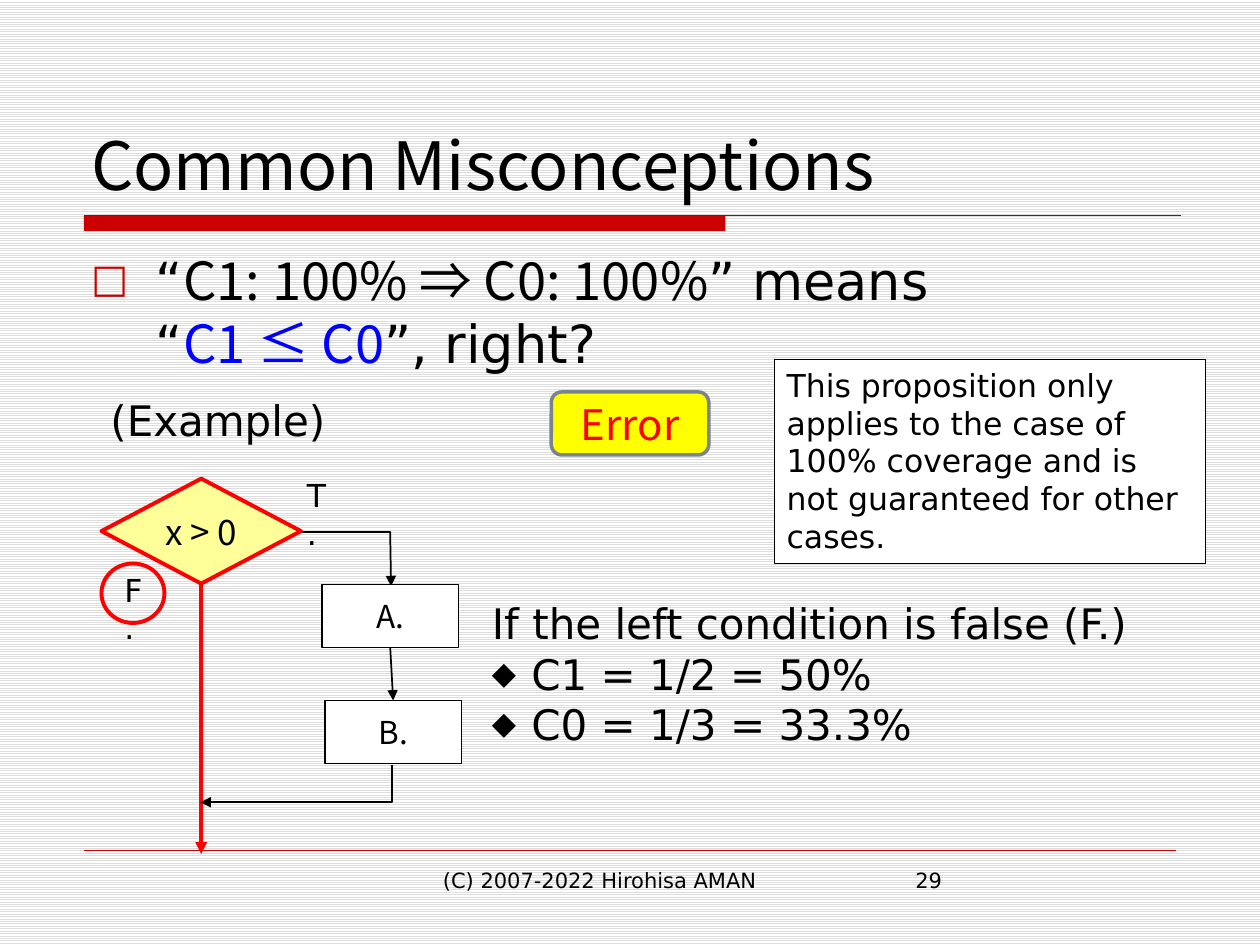
import lxml.etree
import pptx
import pptx.dml.color
import pptx.enum.dml
import pptx.enum.shapes
import pptx.enum.text
import pptx.oxml.ns
import pptx.util

Pt = pptx.util.Pt
SHAPES = pptx.enum.shapes.MSO_SHAPE
ANCHORS = pptx.enum.text.MSO_ANCHOR
ALIGNMENTS = pptx.enum.text.PP_ALIGN
SANS = "DejaVu Sans"
GOTHIC = "Noto Sans CJK JP"
CENTERED = {"alignment": ALIGNMENTS.CENTER}


def color(value):
    """Turn a hex string into a colour."""
    return pptx.dml.color.RGBColor.from_string(value)


def add_element(parent, tag, **attributes):
    """Append a DrawingML element to a parent."""
    element = lxml.etree.SubElement(parent, pptx.oxml.ns.qn("a:" + tag))
    for name, value in attributes.items():
        element.set(name, value)
    return element


def set_attributes(target, values):
    """Set each value of a dict on the target."""
    for name, value in values.items():
        setattr(target, name, value)


def style_line(line, line_color, width, arrow=False):
    """Give a line its colour, width and optional end arrow."""
    line.color.rgb = color(line_color)
    line.width = Pt(width)
    if arrow:
        add_element(line._get_or_add_ln(), "tailEnd", type="triangle")


def add_run(paragraph, text, size, font=SANS, text_color="000000"):
    """Add one formatted run to a paragraph."""
    run = paragraph.add_run()
    run.text = text
    set_attributes(run.font, {"size": Pt(size), "name": font})
    run.font.color.rgb = color(text_color)
    add_element(run._r.get_or_add_rPr(), "ea", typeface=font)


def add_bullet(paragraph, character, indent, bullet_color):
    """Give a paragraph a hanging bullet."""
    properties = paragraph._p.get_or_add_pPr()
    properties.set("marL", str(int(Pt(indent))))
    properties.set("indent", str(-int(Pt(indent))))
    add_element(add_element(properties, "buClr"), "srgbClr", val=bullet_color)
    add_element(properties, "buSzPct", val="75000")
    add_element(properties, "buFont", typeface=SANS)
    add_element(properties, "buChar", char=character)


def add_text_box(slide, box, text="", size=12, font=SANS, anchor=ANCHORS.TOP):
    """Add a wrapping text box and return its text frame."""
    frame = slide.shapes.add_textbox(*map(Pt, box)).text_frame
    set_attributes(frame, {"word_wrap": True, "vertical_anchor": anchor})
    if text:
        add_run(frame.paragraphs[0], text, size, font)
    return frame


def add_block(slide, kind, box, fill=None, line=None):
    """Add a preset shape with optional fill and (colour, width) line."""
    shape = slide.shapes.add_shape(kind, *map(Pt, box))
    shape.shadow.inherit = False
    if fill:
        shape.fill.solid()
        shape.fill.fore_color.rgb = color(fill)
    else:
        shape.fill.background()
    if line:
        style_line(shape.line, *line)
    else:
        shape.line.fill.background()
    return shape


def label(shape, text, size, font=GOTHIC, text_color="000000", wrap=False,
          anchor=ANCHORS.MIDDLE, paragraph_format=CENTERED):
    """Write text inside a shape."""
    frame = shape.text_frame
    set_attributes(frame, {"word_wrap": wrap, "vertical_anchor": anchor})
    set_attributes(frame.paragraphs[0], paragraph_format)
    add_run(frame.paragraphs[0], text, size, font, text_color)


def add_line(slide, start, end, line_color, width, arrow=False):
    """Add a straight connector."""
    straight = pptx.enum.shapes.MSO_CONNECTOR.STRAIGHT
    connector = slide.shapes.add_connector(straight, *map(Pt, start + end))
    style_line(connector.line, line_color, width, arrow)
    add_element(connector._element.spPr, "effectLst")
    return connector


def add_elbow(slide, start, *points):
    """Add an open bent path that ends in an arrow."""
    builder = slide.shapes.build_freeform(*map(Pt, start))
    builder.add_line_segments([tuple(map(Pt, point)) for point in points], close=False)
    shape = builder.convert_to_shape()
    shape.shadow.inherit = False
    shape.fill.background()
    style_line(shape.line, "000000", 1, arrow=True)


def add_frame(slide):
    """Add the background, rules, title and footer."""
    fill = slide.background.fill
    fill.patterned()
    fill.pattern = pptx.enum.dml.MSO_PATTERN.LIGHT_HORIZONTAL
    fill.fore_color.rgb = color("DDDDDD")
    fill.back_color.rgb = color("FFFFFF")
    add_block(slide, SHAPES.RECTANGLE, (48, 123, 366.5, 9), "CC0000")
    add_line(slide, (48, 123), (674.6, 123), "333333", 0.75)
    add_line(slide, (48, 486), (672, 486), "CC0000", 0.25)
    add_text_box(slide, (45, 24, 630, 96), "Common Misconceptions", 38, GOTHIC, ANCHORS.BOTTOM)
    add_text_box(slide, (246, 492, 228, 37.5), "(C) 2007-2022 Hirohisa AMAN")
    add_text_box(slide, (516, 492, 156, 37.5), "29")


def add_question(slide):
    """Add the main question with its verdict and explanation."""
    question = add_text_box(slide, (45, 138, 630, 336)).paragraphs[0]
    question.space_before = Pt(6)
    add_bullet(question, "□", 37, "CC0000")
    add_run(question, "“", 30)
    add_run(question, "C1: 100% ⇒ C0: 100%", 30, GOTHIC)
    add_run(question, "” means", 30)
    question.add_line_break()
    add_run(question, "“", 30)
    add_run(question, "C1 ≤ C0", 30, GOTHIC, "0000FF")
    add_run(question, "”, right?", 30)
    verdict = add_block(slide, SHAPES.ROUNDED_RECTANGLE, (315, 224, 90, 36),
                        "FFFF00", ("79848F", 2))
    label(verdict, "Error", 24, text_color="FF0000")
    note = add_block(slide, SHAPES.RECTANGLE, (442.5, 205.5, 246.5, 116.5),
                     "FFFFFF", ("000000", 0.75))
    label(note, "This proposition only applies to the case of 100% coverage and is "
          "not guaranteed for other cases.", 18, SANS, wrap=True,
          anchor=ANCHORS.TOP, paragraph_format={"alignment": ALIGNMENTS.LEFT})


def add_flowchart(slide):
    """Add the example flowchart."""
    add_text_box(slide, (56, 222, 148, 36), "(Example)", 24)
    false_path = add_line(slide, (114.5, 334), (115, 488), "FF0000", 2.25, arrow=True)
    add_elbow(slide, (168.5, 304), (223, 304), (223.5, 335))
    decision = add_block(slide, SHAPES.FLOWCHART_DECISION, (58, 273.5, 114, 60),
                         "FFFF99", ("FF0000", 2.25))
    label(decision, "x > 0", 20)
    false_path.begin_connect(decision, 2)
    add_text_box(slide, (168.2, 268.5, 26, 29), "T.", 18)
    add_text_box(slide, (64, 322.5, 25, 29), "F.", 18)
    steps = []
    for text, left, top in (("A.", 184, 334), ("B.", 185.7, 400.3)):
        step = add_block(slide, SHAPES.RECTANGLE, (left, top, 78, 36),
                         "FFFFFF", ("000000", 1))
        label(step, text, 18)
        steps.append(step)
    add_elbow(slide, (224, 437), (224, 458.5), (114.5, 458.5))
    link = add_line(slide, (224, 370), (224, 400), "000000", 1, arrow=True)
    link.begin_connect(steps[0], 2)
    link.end_connect(steps[1], 0)
    add_block(slide, SHAPES.OVAL, (58, 322, 36, 34), line=("FF0000", 2.25))


def add_result(slide):
    """Add the coverage values of the example."""
    frame = add_text_box(slide, (274, 338, 392, 94), "If the left condition is false (F.)", 24)
    for text in ("C1 = 1/2 = 50%", "C0 = 1/3 = 33.3%"):
        paragraph = frame.add_paragraph()
        add_bullet(paragraph, "◆", 22.5, "000000")
        add_run(paragraph, text, 24)


def main():
    """Build and save the slide."""
    presentation = pptx.Presentation()
    set_attributes(presentation, {"slide_width": Pt(720), "slide_height": Pt(540)})
    slide = presentation.slides.add_slide(presentation.slide_layouts[6])
    add_frame(slide)
    add_question(slide)
    add_flowchart(slide)
    add_result(slide)
    presentation.save("out.pptx")


if __name__ == "__main__":
    main()
